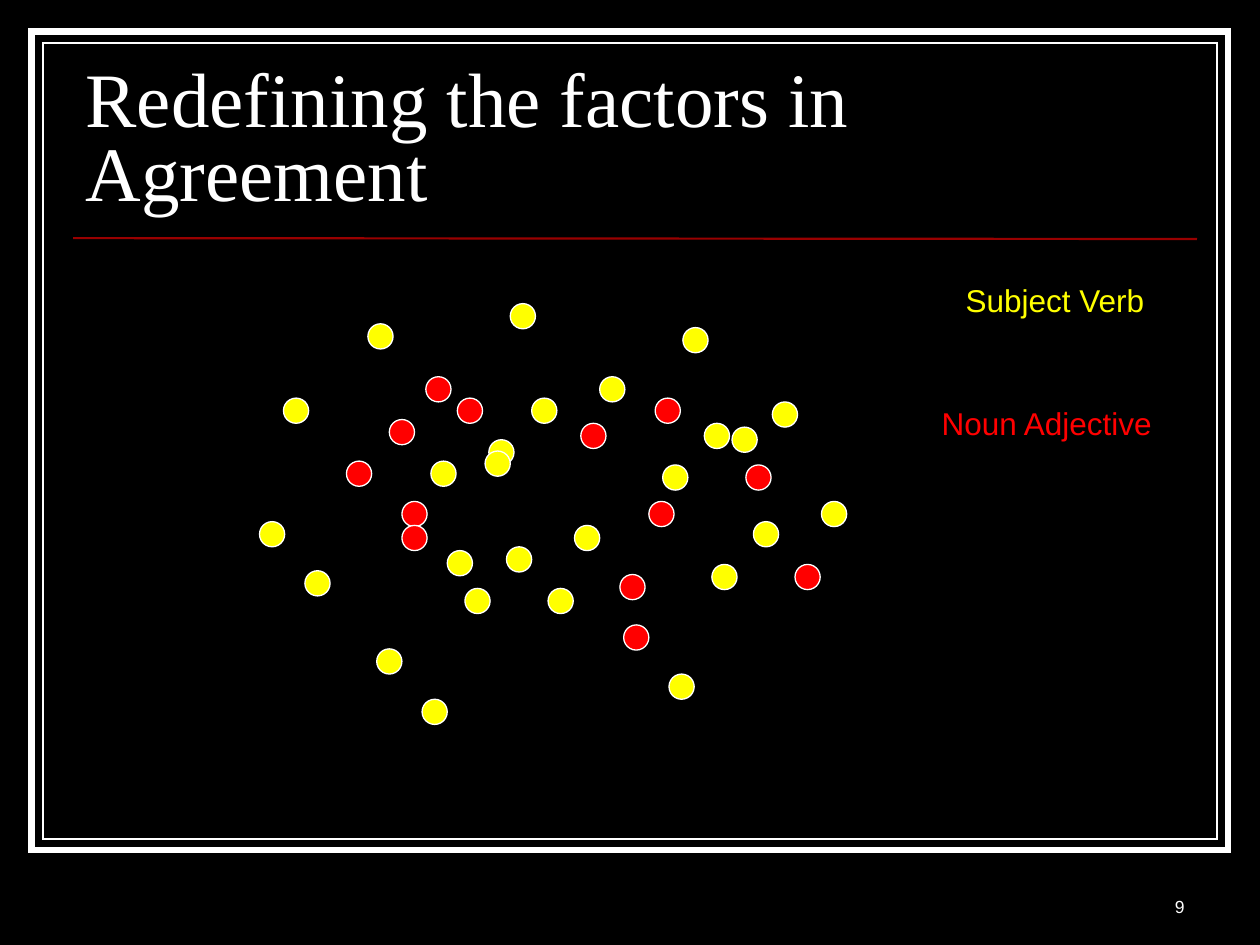
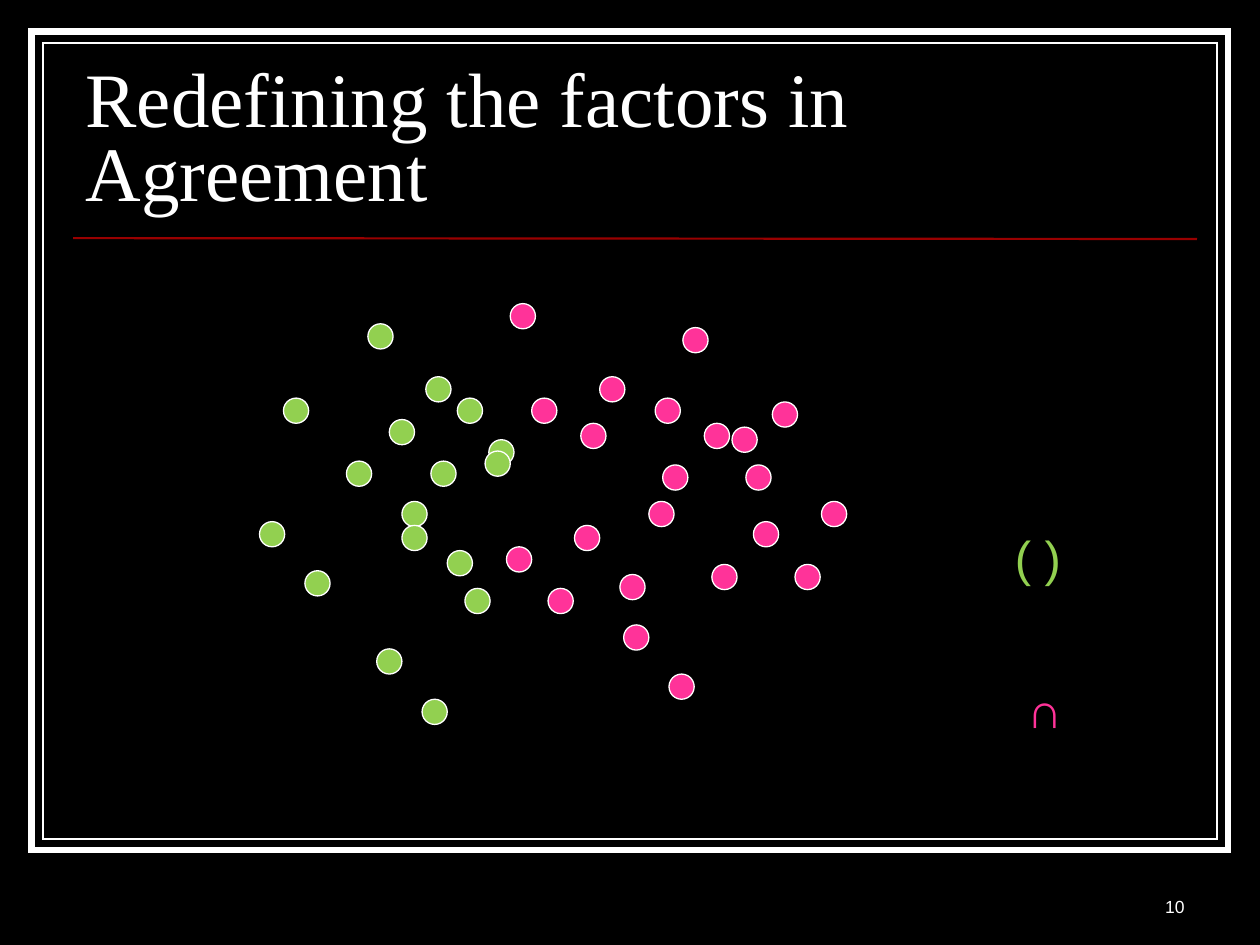
from lxml import etree
from pptx import Presentation
from pptx.dml.color import RGBColor
from pptx.enum.shapes import MSO_CONNECTOR, MSO_SHAPE
from pptx.enum.text import MSO_ANCHOR, MSO_AUTO_SIZE, PP_ALIGN
from pptx.oxml.ns import qn
from pptx.util import Inches, Pt

RECTANGLE, OVAL = MSO_SHAPE.RECTANGLE, MSO_SHAPE.OVAL
STRAIGHT = MSO_CONNECTOR.STRAIGHT
BOTTOM, TOP = MSO_ANCHOR.BOTTOM, MSO_ANCHOR.TOP
LEFT, RIGHT = PP_ALIGN.LEFT, PP_ALIGN.RIGHT
FIXED, GROW = MSO_AUTO_SIZE.NONE, MSO_AUTO_SIZE.SHAPE_TO_FIT_TEXT

COLORS = {
    "background": "000000",
    "light": "FFFFFF",
    "rule": "990000",
    "subject_verb": "FFFF00",
    "noun_adjective": "FF0000",
    "parentheses": "92D050",
    "intersection": "FF3399",
}
TITLE_FONT, BODY_FONT = "Times New Roman", "Arial"
TITLE = "Redefining the factors in Agreement"

FRAME_BOX = (0.25, 0.25, 9.5, 6.5)
TITLE_BOX = (0.58, 0.52, 8.92, 1.25)
NUMBER_BOX = (7.42, 6.83, 2.08, 0.5)
CLUSTER_BOX = (2, 2.4, 4.8, 3.4)
DOT_SIZE = 0.2
SPLIT_X = 2

DOTS = [
    (0.25, 0.76), (0.42, 2.13), (0.06, 1.74), (0.75, 1.26), (0.92, 0.17),
    (1.09, 0.93), (1.63, 0.76), (1.42, 1.26), (1.38, 0.59), (1.55, 1.97),
    (1.19, 1.58), (1.88, 1.09), (2.05, 0.01), (2.22, 0.76), (2.76, 0.59),
    (2.61, 0.96), (1.19, 1.77), (1.35, 3.15), (0.99, 2.75), (1.69, 2.27),
    (1.85, 1.18), (2.02, 1.94), (2.35, 2.27), (3.2, 0.76), (2.92, 2.16),
    (2.56, 1.77), (3.26, 1.29), (3.42, 0.2), (3.59, 0.96), (4.13, 0.79),
    (3.92, 1.29), (3.15, 1.58), (3.31, 2.95), (2.95, 2.56), (3.65, 2.08),
    (3.81, 0.99), (3.98, 1.74), (4.52, 1.58), (4.31, 2.08),
]
NOUN_ADJECTIVE_DOTS = {
    (0.75, 1.26), (1.09, 0.93), (1.63, 0.76), (1.38, 0.59), (1.19, 1.58),
    (2.61, 0.96), (1.19, 1.77), (3.2, 0.76), (2.92, 2.16), (3.92, 1.29),
    (3.15, 1.58), (2.95, 2.56), (4.31, 2.08),
}


def rgb(name):
    return RGBColor.from_string(COLORS[name])


def set_line(line, color, width):
    line.fill.solid()
    line.fill.fore_color.rgb = rgb(color)
    line.width = Pt(width)


def add_outlined(slide, preset, box, fill, line_width):
    outlined = slide.shapes.add_shape(preset, *map(Inches, box))
    outlined.shadow.inherit = False
    outlined.fill.solid()
    outlined.fill.fore_color.rgb = rgb(fill)
    set_line(outlined.line, "light", line_width)
    outline = outlined.element.spPr.find(qn("a:ln"))
    etree.SubElement(outline, qn("a:miter"), lim="800000")


def write(frame, text, size, font, color, align):
    paragraph = frame.paragraphs[0]
    paragraph.alignment = align
    run = paragraph.add_run()
    run.text = text
    run.font.size = Pt(size)
    run.font.name = font
    run.font.color.rgb = rgb(color)
    return paragraph


def add_label(slide, box, text, size, color, anchor=TOP, wrap=False):
    frame = slide.shapes.add_textbox(*map(Inches, box)).text_frame
    frame.word_wrap = wrap
    frame.auto_size = FIXED if wrap else GROW
    frame.vertical_anchor = anchor
    write(frame, text, size, BODY_FONT, color, RIGHT)


def add_frame(slide, box):
    left, top, width, height = box
    gap = 0.09
    inner = (left + gap, top + gap, width - 2 * gap, height - 2 * gap)
    add_outlined(slide, RECTANGLE, box, "background", 3.5)
    add_outlined(slide, RECTANGLE, inner, "background", 0.75)


def add_rule(slide, left, top, width):
    rule = slide.shapes.add_connector(
        STRAIGHT, Inches(left), Inches(top),
        Inches(left + width), Inches(top) + Pt(0.5))
    set_line(rule.line, "rule", 1.25)
    etree.SubElement(rule.element.spPr, qn("a:effectLst"))
    rule.element.remove(rule.element.find(qn("p:style")))


def add_title(slide, box):
    left, top, width, height = box
    add_rule(slide, left, top + height + 0.12, width)
    title = slide.shapes.title
    title.element.getparent().append(title.element)
    title.left, title.top, title.width, title.height = map(Inches, box)
    frame = title.text_frame
    frame.word_wrap = True
    frame.auto_size = FIXED
    frame.vertical_anchor = BOTTOM
    paragraph = write(frame, TITLE, 44, TITLE_FONT, "light", LEFT)
    paragraph.line_spacing = 0.8


def add_cluster(slide, box, color_of):
    left, top = box[:2]
    for x, y in DOTS:
        dot_box = (left + x, top + y, DOT_SIZE, DOT_SIZE)
        add_outlined(slide, OVAL, dot_box, color_of((x, y)), 0.75)


def color_by_word_class(dot):
    return "noun_adjective" if dot in NOUN_ADJECTIVE_DOTS else "subject_verb"


def color_by_side(dot):
    return "parentheses" if dot[0] < SPLIT_X else "intersection"


def add_factor_slide(prs, number, color_of, legend, legend_size):
    slide = prs.slides.add_slide(prs.slide_layouts[5])
    slide.background.fill.solid()
    slide.background.fill.fore_color.rgb = rgb("background")
    add_frame(slide, FRAME_BOX)
    add_title(slide, TITLE_BOX)
    add_label(slide, NUMBER_BOX, str(number), 10, "light", BOTTOM, True)
    add_cluster(slide, CLUSTER_BOX, color_of)
    for box, text, color in legend:
        add_label(slide, box, text, legend_size, color)


def main():
    prs = Presentation()
    prs.slide_width, prs.slide_height = Inches(10), Inches(7.5)
    add_factor_slide(prs, 9, color_by_word_class, [
        ((7.55, 2.18, 1.7, 0.4), "Subject Verb ", "subject_verb"),
        ((7.36, 3.16, 1.88, 0.4), "Noun Adjective", "noun_adjective"),
    ], 18)
    add_factor_slide(prs, 10, color_by_side, [
        ((8.05, 5.34, 0.48, 0.57), "∩", "intersection"),
        ((7.92, 4.14, 0.6, 0.57), "( )", "parentheses"),
    ], 28)
    prs.save("out.pptx")


if __name__ == "__main__":
    main()
